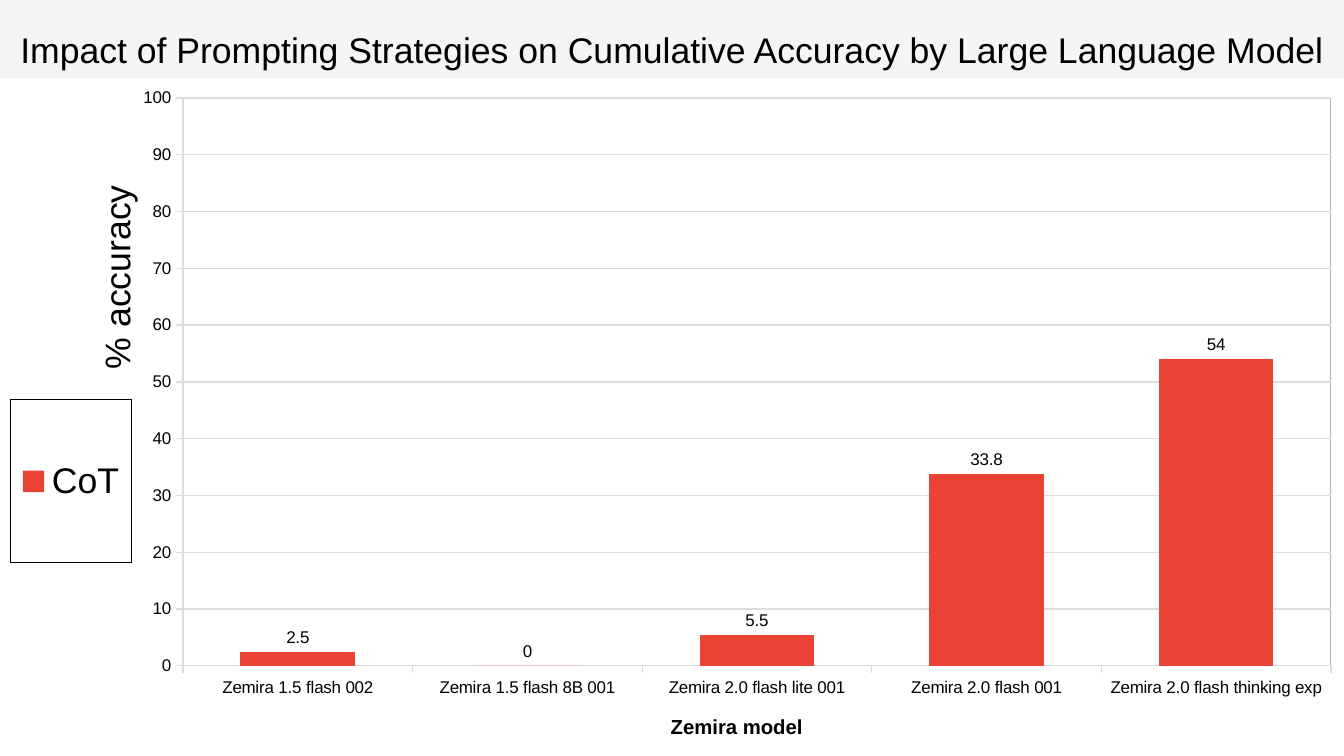
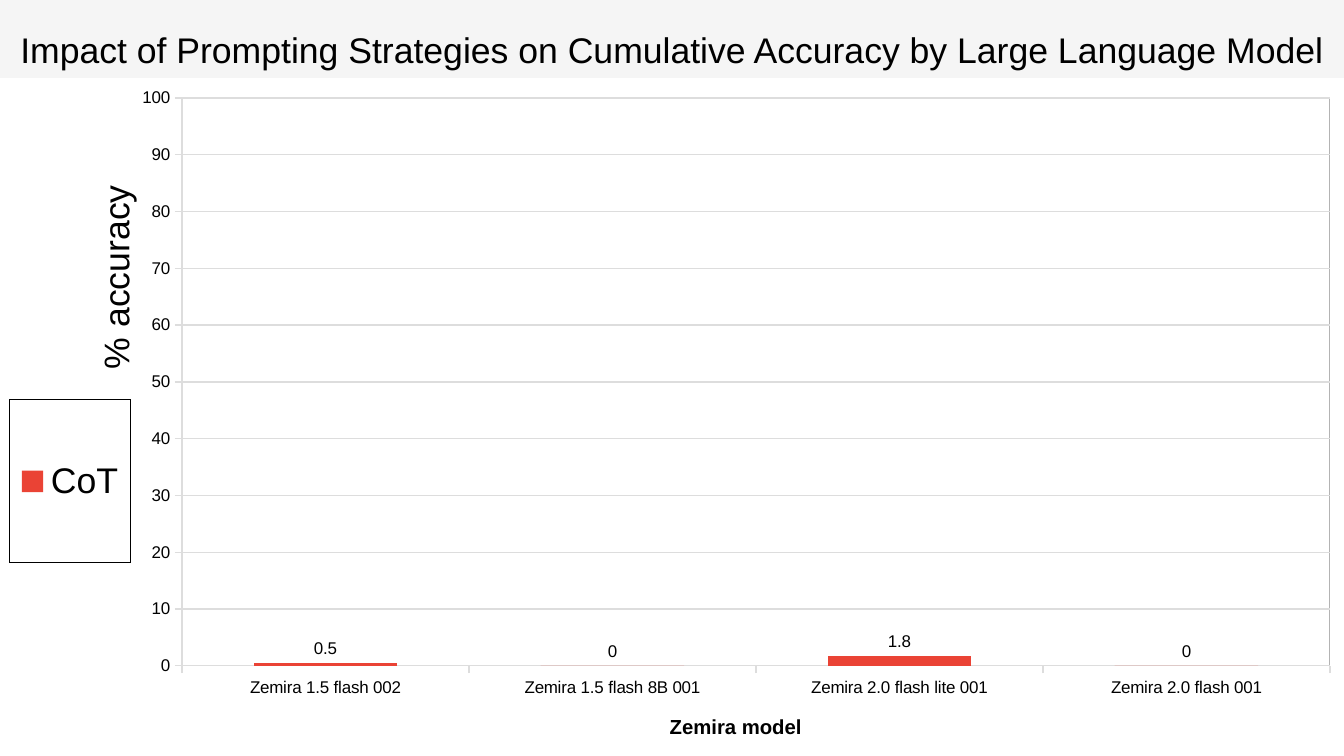
from lxml.etree import fromstring
from pptx import Presentation
from pptx.chart.data import CategoryChartData
from pptx.dml.color import RGBColor
from pptx.enum.chart import XL_CHART_TYPE as ChartType
from pptx.enum.chart import XL_LABEL_POSITION as LabelPosition
from pptx.enum.chart import XL_LEGEND_POSITION as LegendPosition
from pptx.enum.chart import XL_TICK_MARK as TickMark
from pptx.enum.text import MSO_ANCHOR, MSO_AUTO_SIZE, PP_ALIGN
from pptx.oxml.ns import qn
from pptx.util import Emu, Pt

PX = 914400 / 122
WIDTH, HEIGHT = 1344, 756
CHART_TOP, CHART_WIDTH = 78, 1345
CHART_HEIGHT = HEIGHT - CHART_TOP
FONT = "Arial"
COLORS = {"band": "F5F5F5", "panel": "FFFFFF", "text": "000000",
          "grid": "DDDDDD", "frame": "B3B3B3", "bar": "EA4335"}
SPACES = ('xmlns:c="http://schemas.openxmlformats.org/drawingml/2006/chart" '
          'xmlns:a="http://schemas.openxmlformats.org/drawingml/2006/main"')
TITLE = ("Impact of Prompting Strategies on Cumulative Accuracy "
         "by Large Language Model")
MODELS = ["Zemira 1.5 flash 002", "Zemira 1.5 flash 8B 001",
          "Zemira 2.0 flash lite 001", "Zemira 2.0 flash 001",
          "Zemira 2.0 flash thinking exp"]
RESULTS = [(0, [2.5, 0, 5.5, 33.8, 54]), (-1, [0.5, 0, 1.8, 0])]


def px(length):
    return Emu(round(length * PX))


def color(name):
    return RGBColor.from_string(COLORS[name])


def style_font(font, size, bold=False):
    font.name = FONT
    font.size = Pt(size)
    font.bold = bold
    font.color.rgb = color("text")


def solid(name):
    return f'<a:solidFill><a:srgbClr val="{COLORS[name]}"/></a:solidFill>'


def outline(name):
    return f'<a:ln w="0">{solid(name)}</a:ln>'


def shape_style(content):
    return fromstring(f"<c:spPr {SPACES}>{content}</c:spPr>")


def set_layout(element, index, x, y, w=None, h=None, target=""):
    for old in element.findall(qn("c:layout")):
        element.remove(old)
    inner = f'<c:layoutTarget val="{target}"/>' if target else ""
    inner += '<c:xMode val="edge"/><c:yMode val="edge"/>'
    places = {"x": (x, CHART_WIDTH), "y": (y, CHART_HEIGHT),
              "w": (w, CHART_WIDTH), "h": (h, CHART_HEIGHT)}
    for key, (length, whole) in places.items():
        if length is not None:
            inner += f'<c:{key} val="{length / whole:.5f}"/>'
    element.insert(index, fromstring(
        f"<c:layout {SPACES}><c:manualLayout>{inner}</c:manualLayout></c:layout>"))


def add_title(page):
    box = page.shapes.title
    box.left, box.top, box.width, box.height = px(0), px(24), px(WIDTH), px(50)
    frame = box.text_frame
    frame.margin_left = frame.margin_right = 0
    frame.margin_top = frame.margin_bottom = 0
    frame.vertical_anchor = MSO_ANCHOR.MIDDLE
    frame.word_wrap = True
    frame.auto_size = MSO_AUTO_SIZE.SHAPE_TO_FIT_TEXT
    para = frame.paragraphs[0]
    para.alignment = PP_ALIGN.CENTER
    span = para.add_run()
    span.text = TITLE
    style_font(span.font, 21)


def style_line(line):
    line.color.rgb = color("grid")
    line.width = Pt(0)


def style_axis(axis, text, size, bold, x, y):
    axis.major_tick_mark = TickMark.OUTSIDE
    axis.minor_tick_mark = TickMark.NONE
    style_line(axis.format.line)
    style_font(axis.tick_labels.font, 10)
    title = axis.axis_title
    span = title.text_frame.paragraphs[0].add_run()
    span.text = text
    style_font(span.font, size, bold)
    set_layout(title.element, 1, x, y)


def style_axes(chart):
    style_axis(chart.category_axis, "Zemira model", 12, True, 667, 633)
    accuracy = chart.value_axis
    style_axis(accuracy, "% accuracy", 21, False, 88, 101)
    body = accuracy.axis_title.element.find(".//" + qn("a:bodyPr"))
    body.set("rot", "-5400000")
    body.set("vert", "horz")
    accuracy.minimum_scale = 0
    accuracy.maximum_scale = 100
    accuracy.major_unit = 10
    accuracy.has_major_gridlines = True
    style_line(accuracy.major_gridlines.format.line)


def style_bars(chart):
    plot = chart.plots[0]
    plot.gap_width = 100
    plot.vary_by_categories = False
    bars = plot.series[0]
    bars.format.fill.solid()
    bars.format.fill.fore_color.rgb = color("bar")
    labels = bars.data_labels
    labels.show_value = True
    labels.position = LabelPosition.OUTSIDE_END
    style_font(labels.font, 10)


def style_legend(chart):
    chart.has_legend = True
    chart.legend.position = LegendPosition.RIGHT
    chart.legend.include_in_layout = False
    style_font(chart.legend.font, 21)
    legend = chart.element.find(".//" + qn("c:legend"))
    set_layout(legend, 1, 11, 322, 120, 163)
    legend.find(qn("c:overlay")).addnext(shape_style(outline("text")))


def style_panels(chart):
    space = chart.element
    plot_area = space.find(".//" + qn("c:plotArea"))
    set_layout(plot_area, 0, 183, 20, 1148, 568, "inner")
    plot_area.append(shape_style(solid("panel") + outline("frame")))
    space.find(qn("c:chart")).addnext(
        shape_style(solid("panel") + "<a:ln><a:noFill/></a:ln>"))


def add_accuracy_chart(page, left, values):
    data = CategoryChartData()
    data.categories = MODELS[:len(values)]
    data.add_series("CoT", values)
    chart = page.shapes.add_chart(
        ChartType.COLUMN_CLUSTERED, px(left), px(CHART_TOP),
        px(CHART_WIDTH), px(CHART_HEIGHT), data).chart
    chart.has_title = False
    style_font(chart.font, 10)
    style_axes(chart)
    style_bars(chart)
    style_legend(chart)
    style_panels(chart)


def main():
    deck = Presentation()
    deck.slide_width, deck.slide_height = px(WIDTH), px(HEIGHT)
    background = deck.slide_master.background.fill
    background.solid()
    background.fore_color.rgb = color("band")
    for left, values in RESULTS:
        page = deck.slides.add_slide(deck.slide_layouts[5])
        add_accuracy_chart(page, left, values)
        add_title(page)
    deck.save("out.pptx")


if __name__ == "__main__":
    main()
